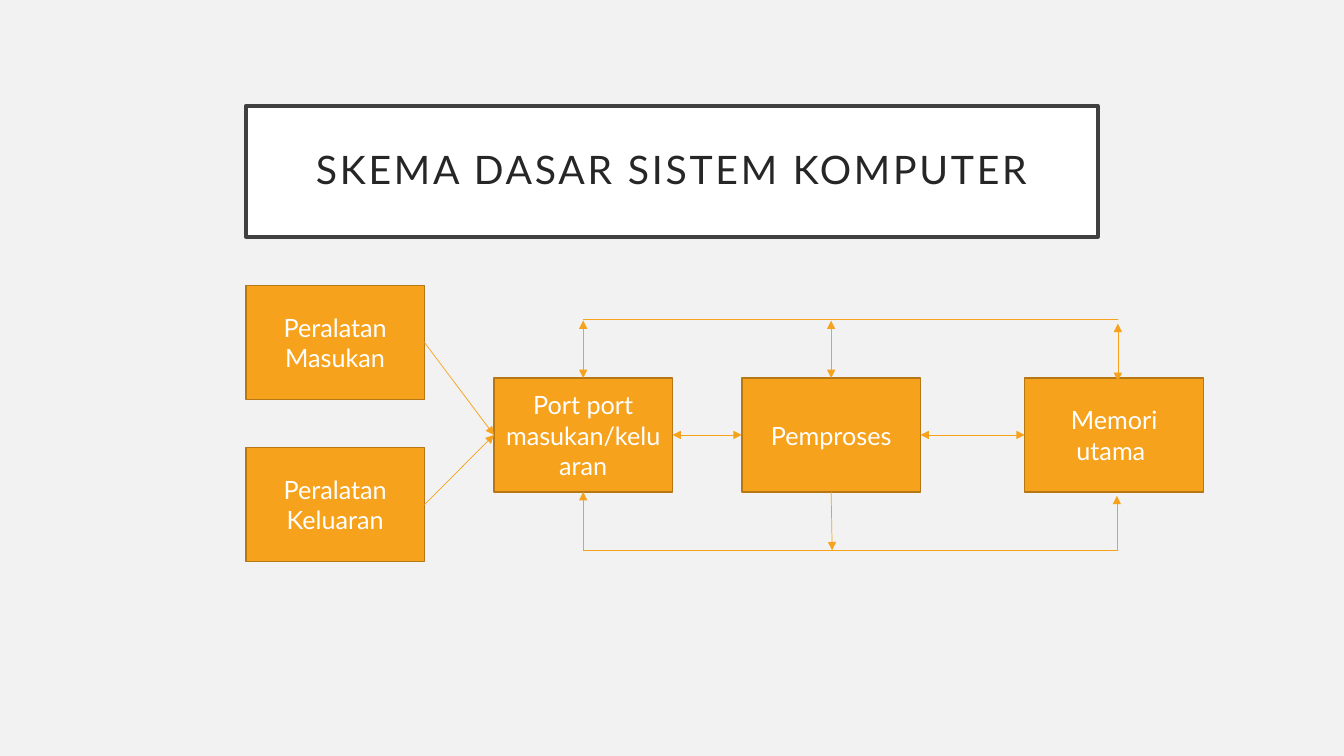
from dataclasses import dataclass
from typing import NamedTuple

from lxml.etree import SubElement
from pptx import Presentation
from pptx.dml.color import RGBColor as Rgb
from pptx.enum.shapes import MSO_CONNECTOR as Connector, MSO_SHAPE as Preset
from pptx.enum.text import MSO_ANCHOR as Anchor, PP_ALIGN as Align
from pptx.oxml.ns import qn
from pptx.slide import Slide
from pptx.util import Pt


@dataclass(frozen=True)
class Theme:
    background: str = "F2F2F2"
    title_fill: str = "FFFFFF"
    title_line: str = "404040"
    title_text: str = "262626"
    unit_fill: str = "F6A21D"
    unit_line: str = "B67815"
    unit_text: str = "FFFFFF"
    font: str = "Lato"
    title_size: float = 28
    unit_size: float = 18
    arrow_width: float = 0.5


class Box(NamedTuple):
    text: str
    left: float
    top: float
    width: float = 127.6
    height: float = 81.4

    @property
    def right(self) -> float:
        return self.left + self.width

    @property
    def bottom(self) -> float:
        return self.top + self.height

    @property
    def center(self) -> float:
        return self.left + self.width / 2

    @property
    def middle(self) -> float:
        return self.top + self.height / 2


class BoxStyle(NamedTuple):
    fill: str
    line: str
    line_width: float
    text: str
    size: float
    inset_x: float = 7.2
    inset_y: float = 3.6
    line_spacing: float = 1.0
    tracking: float = 0


class Link(NamedTuple):
    start: tuple[float, float]
    end: tuple[float, float]
    ends: tuple[str, ...] = ("tailEnd",)


def apply_format(target: object, values: dict[str, object]) -> None:
    for name, value in values.items():
        setattr(target, name, value)


def draw_box(slide: Slide, box: Box, style: BoxStyle) -> None:
    shape = slide.shapes.add_shape(
        Preset.RECTANGLE, Pt(box.left), Pt(box.top), Pt(box.width), Pt(box.height))
    shape.shadow.inherit = False
    shape.fill.solid()
    shape.fill.fore_color.rgb = Rgb.from_string(style.fill)
    shape.line.color.rgb = Rgb.from_string(style.line)
    shape.line.width = Pt(style.line_width)
    frame = shape.text_frame
    apply_format(frame, {
        "word_wrap": True, "vertical_anchor": Anchor.MIDDLE,
        "margin_left": Pt(style.inset_x), "margin_right": Pt(style.inset_x),
        "margin_top": Pt(style.inset_y), "margin_bottom": Pt(style.inset_y)})
    paragraph = frame.paragraphs[0]
    apply_format(paragraph, {"alignment": Align.CENTER, "line_spacing": style.line_spacing})
    run = paragraph.add_run()
    run.text = box.text
    apply_format(run.font, {"name": theme.font, "size": Pt(style.size)})
    run.font.color.rgb = Rgb.from_string(style.text)
    if style.tracking:
        run._r.get_or_add_rPr().set("spc", str(round(style.tracking * 100)))


def draw_link(slide: Slide, link: Link) -> None:
    connector = slide.shapes.add_connector(
        Connector.STRAIGHT, *(Pt(length) for length in link.start + link.end))
    connector.line.color.rgb = Rgb.from_string(theme.unit_fill)
    connector.line.width = Pt(theme.arrow_width)
    outline = connector.line._get_or_add_ln()
    for end in link.ends:
        SubElement(outline, qn(f"a:{end}"), type="triangle")
    SubElement(connector._element.spPr, qn("a:effectLst"))


theme = Theme()
title_style = BoxStyle(theme.title_fill, theme.title_line, 2.5, theme.title_text,
                       theme.title_size, 14.4, 14.4, 0.9, 2)
unit_style = BoxStyle(theme.unit_fill, theme.unit_line, 1, theme.unit_text, theme.unit_size)

ROW_TOP = 270
title = Box("SKEMA DASAR SISTEM KOMPUTER", 175.6, 75.6, 608.6, 93.6)
masukan = Box("Peralatan Masukan", 175.6, 203.9)
keluaran = Box("Peralatan Keluaran", 175.6, 319.8)
port = Box("Port port masukan/keluaran", 352.8, ROW_TOP)
pemproses = Box("Pemproses", 529.9, ROW_TOP)
memori = Box("Memori utama ", 732, ROW_TOP)

BOTH = ("headEnd", "tailEnd")
BUS_TOP, BUS_BOTTOM, BUS_RIGHT = 228.3, 393.1, 798.5
links = [Link((device.right, device.middle), (port.left, port.middle))
         for device in (masukan, keluaran)]
links += [Link((near.right, near.middle), (far.left, far.middle), BOTH)
          for near, far in ((port, pemproses), (pemproses, memori))]
links += [Link((x, ROW_TOP + drop), (x, BUS_TOP + 0.7 + drop), BOTH)
          for x, drop in ((port.center, 0), (pemproses.center, 0), (BUS_RIGHT, 2.2))]
links += [Link((port.center, y), (BUS_RIGHT, y), ()) for y in (BUS_TOP, BUS_BOTTOM)]
links += [
    Link((pemproses.center, pemproses.bottom), (pemproses.center + 0.7, BUS_BOTTOM)),
    Link((port.center, BUS_BOTTOM), (port.center, port.bottom)),
    Link((BUS_RIGHT - 0.7, BUS_BOTTOM), (BUS_RIGHT - 0.7, memori.bottom + 2.8)),
]

deck = Presentation()
apply_format(deck, {"slide_width": Pt(960), "slide_height": Pt(540)})
scheme = deck.slides.add_slide(deck.slide_layouts[6])
scheme.background.fill.solid()
scheme.background.fill.fore_color.rgb = Rgb.from_string(theme.background)

draw_box(scheme, title, title_style)
for unit in (masukan, keluaran, port, memori, pemproses):
    draw_box(scheme, unit, unit_style)
for link in links:
    draw_link(scheme, link)

deck.save("out.pptx")
